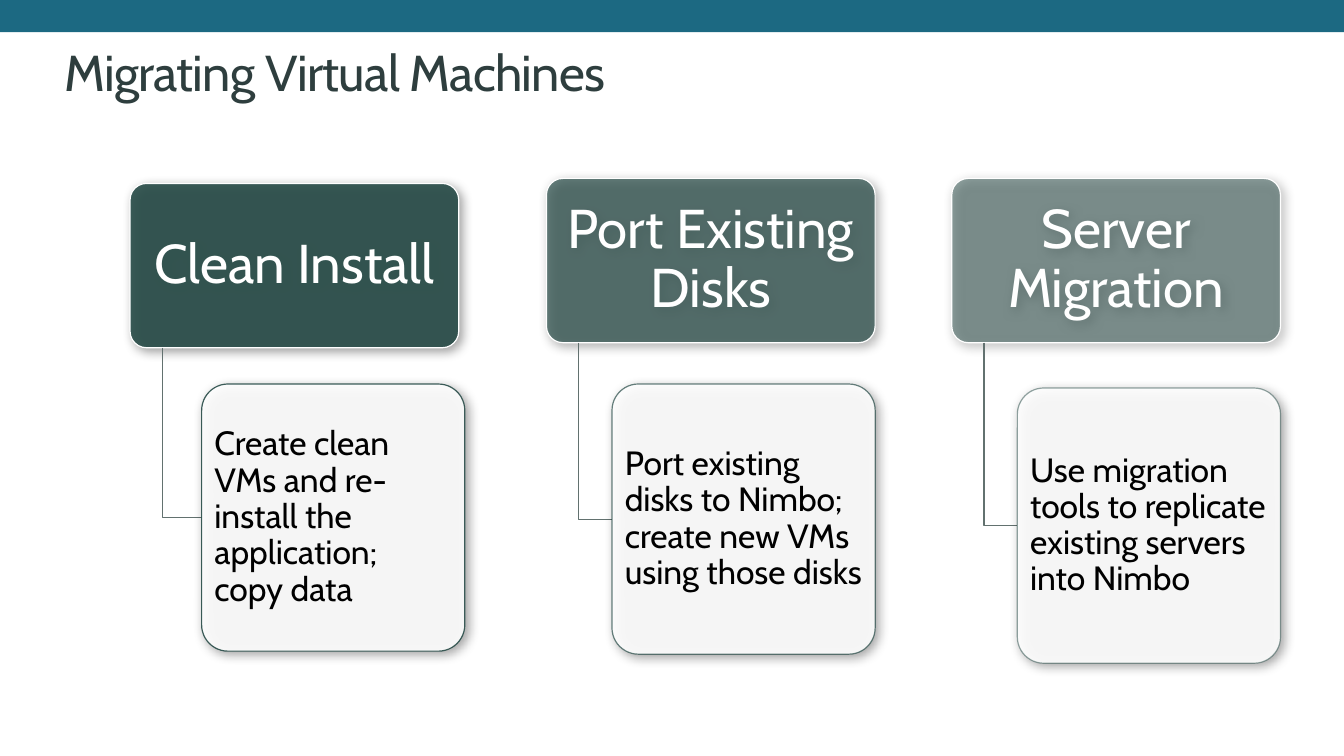
from dataclasses import dataclass

from lxml.etree import SubElement
from pptx import Presentation
from pptx.dml.color import RGBColor
from pptx.enum.shapes import MSO_SHAPE
from pptx.enum.text import MSO_ANCHOR, PP_ALIGN
from pptx.oxml.ns import qn
from pptx.shapes.autoshape import Shape
from pptx.shapes.shapetree import SlideShapes
from pptx.text.text import TextFrame
from pptx.util import Pt

PX = 9144  # EMU per px, 100 px to the inch
FONT = "Cabin"
TEAL = RGBColor(0x1C, 0x69, 0x82)
SLATE = RGBColor(0x2E, 0x3E, 0x3E)
GREEN = RGBColor(0x27, 0x4B, 0x47)
GREY = RGBColor(0x62, 0x71, 0x6F)
WHITE = RGBColor(0xFF, 0xFF, 0xFF)
BLACK = RGBColor(0x00, 0x00, 0x00)

HEAD_W, HEAD_H = 326, 163
BODY_W = 261
STEM = 32  # from the head's left edge to the elbow line
THIN = Pt(0.85)


@dataclass
class Box:
    left: int
    top: int
    width: int
    height: int

    def emu(self) -> list[int]:
        return [n * PX for n in (self.left, self.top, self.width, self.height)]


@dataclass
class Branch:
    title: str
    text: str
    head: Box
    body: Box
    tint: int  # opacity of the green, in percent


BRANCHES = [
    Branch("Clean Install",
           "Create clean VMs and re-install the application; copy data",
           Box(129, 182, HEAD_W, HEAD_H), Box(200, 381, BODY_W, 265), 90),
    Branch("Port Existing Disks",
           "Port existing disks to Nimbo; create new VMs using those disks",
           Box(542, 177, HEAD_W, HEAD_H), Box(607, 381, BODY_W, 268), 70),
    Branch("Server Migration",
           "Use migration tools to replicate existing servers into Nimbo",
           Box(944, 177, HEAD_W, HEAD_H), Box(1009, 385, BODY_W, 273), 50),
]


def set_text(frame: TextFrame, text: str, size: int, ink: RGBColor,
             pad_x: int = 0, pad_y: int = 0) -> None:
    frame.word_wrap = True
    frame.margin_left = frame.margin_right = pad_x * PX
    frame.margin_top = frame.margin_bottom = pad_y * PX
    frame.text = text
    font = frame.paragraphs[0].runs[0].font
    font.name, font.size, font.color.rgb = FONT, Pt(size), ink


def fade(shape: Shape, route: str, share: int) -> None:
    """Set the opacity, in percent, of the colour found along the route."""
    tags = [qn(f"a:{tag}") for tag in route.split()]
    color = shape._element.spPr.find("/".join(tags))
    SubElement(color, qn("a:alpha"), val=str(share * 1000))


def add_shade(shape: Shape) -> None:
    effects = SubElement(shape._element.spPr, qn("a:effectLst"))
    shade = SubElement(effects, qn("a:outerShdw"), blurRad=str(Pt(8)),
                       dist=str(Pt(3)), dir="2700000", rotWithShape="0")
    color = SubElement(shade, qn("a:srgbClr"), val="000000")
    SubElement(color, qn("a:alpha"), val="40000")


def add_card(shapes: SlideShapes, box: Box, fill: RGBColor, fill_share: int,
             line: RGBColor, line_share: int) -> Shape:
    card = shapes.add_shape(MSO_SHAPE.ROUNDED_RECTANGLE, *box.emu())
    card.adjustments[0] = 0.1
    card.fill.solid()
    card.fill.fore_color.rgb = fill
    card.line.color.rgb = line
    card.line.width = THIN
    fade(card, "solidFill srgbClr", fill_share)
    fade(card, "ln solidFill srgbClr", line_share)
    add_shade(card)
    return card


def set_card(card: Shape, text: str, size: int, ink: RGBColor,
             align: PP_ALIGN, pad_x: int, pad_y: int) -> None:
    set_text(card.text_frame, text, size, ink, pad_x, pad_y)
    card.text_frame.vertical_anchor = MSO_ANCHOR.MIDDLE
    para = card.text_frame.paragraphs[0]
    para.alignment = align
    para.line_spacing = 0.9


def add_elbow(shapes: SlideShapes, head: Box, body: Box) -> None:
    x, y = head.left + STEM, head.top + head.height
    mid = body.top + body.height // 2
    pen = shapes.build_freeform(x, y, scale=PX)
    pen.add_line_segments([(x, mid), (body.left, mid)], close=False)
    elbow = pen.convert_to_shape()
    elbow.fill.background()
    elbow.line.color.rgb = GREY
    elbow.line.width = THIN
    elbow.shadow.inherit = False


def add_branch(shapes: SlideShapes, branch: Branch) -> None:
    head = add_card(shapes, branch.head, GREEN, branch.tint, WHITE, 100)
    set_card(head, branch.title, 39, WHITE, PP_ALIGN.CENTER, 8, 5)
    add_elbow(shapes, branch.head, branch.body)
    body = add_card(shapes, branch.body, WHITE, 90, GREEN, branch.tint)
    set_card(body, branch.text, 24, BLACK, PP_ALIGN.LEFT, 5, 3)


def main() -> None:
    deck = Presentation()
    deck.slide_width, deck.slide_height = 1333 * PX, 750 * PX
    shapes = deck.slides.add_slide(deck.slide_layouts[6]).shapes

    band = shapes.add_shape(MSO_SHAPE.RECTANGLE, *Box(0, 0, 1333, 32).emu())
    band.fill.solid()
    band.fill.fore_color.rgb = TEAL
    band.line.fill.background()
    band.shadow.inherit = False

    title = shapes.add_textbox(*Box(64, 41, 1048, 61).emu())
    set_text(title.text_frame, "Migrating Virtual Machines", 36, SLATE)
    run = title.text_frame.paragraphs[0].runs[0]
    run.font._element.set("spc", "-50")

    for branch in BRANCHES:
        add_branch(shapes, branch)
    deck.save("out.pptx")


if __name__ == "__main__":
    main()
